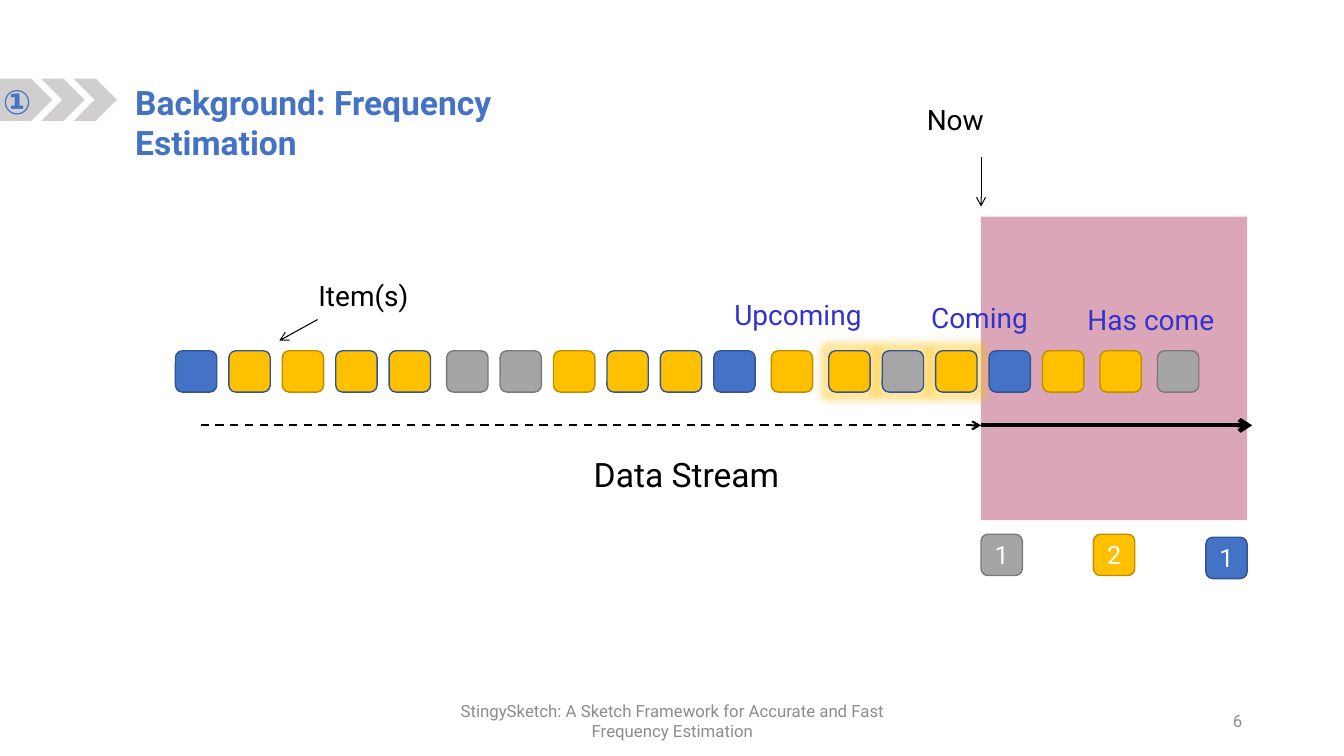
from dataclasses import dataclass

from lxml import etree
from pptx import Presentation
from pptx.dml.color import RGBColor
from pptx.enum.dml import MSO_LINE
from pptx.enum.shapes import MSO_CONNECTOR, MSO_SHAPE as SHAPE
from pptx.enum.text import MSO_ANCHOR as ANCHOR, PP_ALIGN as ALIGN
from pptx.oxml.ns import qn
from pptx.util import Inches, Pt


@dataclass(frozen=True)
class Theme:
    """Colours, font and type sizes of the slide."""
    font: str = "Roboto"
    heading_size: int = 24
    label_size: int = 20
    count_size: int = 18
    footer_size: int = 12
    black: str = "000000"
    white: str = "FFFFFF"
    blue: str = "4472C4"
    navy: str = "325491"
    gold: str = "FFC000"
    bronze: str = "BD8E00"
    gray: str = "A5A5A5"
    dark_gray: str = "7A7A7A"
    coming_gray: str = "A6A6A6"
    chevron: str = "D0CECE"
    window: str = "990033"
    label: str = "3333CC"
    footer: str = "8C8C8C"


THEME = Theme()
TILE = 0.41
TILE_PITCH = 0.53
GROUP_GAP = 0.04
TILE_STYLES = {
    "B": (THEME.blue, THEME.navy),
    "O": (THEME.gold, THEME.navy),
    "Y": (THEME.gold, THEME.bronze),
    "G": (THEME.gray, THEME.dark_gray),
    "H": (THEME.coming_gray, THEME.navy),
}
STREAM_GROUPS = ("BOYOO", "GGYOOB", "Y", "OHOBY", "Y", "G")
GLOWING = range(12, 15)


def inches(*lengths):
    """Convert several lengths to Inches."""
    return [Inches(length) for length in lengths]


def rgb(colour):
    """Turn a hex string into a colour."""
    return RGBColor.from_string(colour)


def write(shape, text, size, colour, align=ALIGN.LEFT, anchor=ANCHOR.TOP,
          bold=False, wrap=True, spacing=None):
    """Write one formatted paragraph into a shape."""
    frame = shape.text_frame
    frame.word_wrap = wrap
    frame.vertical_anchor = anchor
    frame.text = text
    paragraph = frame.paragraphs[0]
    paragraph.alignment = align
    paragraph.line_spacing = spacing
    font = paragraph.font
    font.name, font.size, font.bold = THEME.font, Pt(size), bold
    font.color.rgb = rgb(colour)


def add_text(slide, box, text, size, colour, **options):
    """Add a text box."""
    write(slide.shapes.add_textbox(*inches(*box)), text, size, colour, **options)


def add_label(slide, box, text, colour=THEME.black):
    """Add a centred diagram label."""
    add_text(slide, box, text, THEME.label_size, colour,
             align=ALIGN.CENTER, spacing=0.9)


def add_filled(shapes, kind, box, fill, outline=None):
    """Add a flat preset shape with an optional outline."""
    shape = shapes.add_shape(kind, *inches(*box))
    shape.shadow.inherit = False
    shape.fill.solid()
    shape.fill.fore_color.rgb = rgb(fill)
    if outline:
        shape.line.color.rgb = rgb(outline)
        shape.line.width = Pt(1)
    else:
        shape.line.fill.background()
    return shape


def add_tile(shapes, left, top, style):
    """Add one rounded stream item."""
    return add_filled(shapes, SHAPE.ROUNDED_RECTANGLE,
                      (left, top, TILE, TILE), *TILE_STYLES[style])


def set_alpha(colour_element, percent):
    """Give a colour element an opacity."""
    etree.SubElement(colour_element, qn("a:alpha"), val=str(percent * 1000))


def add_glow(shape):
    """Surround a shape with a soft gold glow."""
    effects = shape.element.spPr.find(qn("a:effectLst"))
    glow = etree.SubElement(effects, qn("a:glow"), rad=str(Pt(11)))
    set_alpha(etree.SubElement(glow, qn("a:srgbClr"), val=THEME.gold), 40)


def add_arrow(slide, start, end, width, dash=None):
    """Add a straight black arrow."""
    arrow = slide.shapes.add_connector(
        MSO_CONNECTOR.STRAIGHT, *inches(*start, *end))
    arrow.line.color.rgb = rgb(THEME.black)
    arrow.line.width = Pt(width)
    if dash:
        arrow.line.dash_style = dash
    etree.SubElement(arrow.line._get_or_add_ln(), qn("a:tailEnd"), type="arrow")
    etree.SubElement(arrow.element.spPr, qn("a:effectLst"))


def add_header(slide, box):
    """Place the chevrons, section number and title."""
    left, top, width, height = box
    chevrons = slide.shapes.add_group_shape().shapes
    for kind, offset, length in ((SHAPE.PENTAGON, 0, 0.52),
                                 (SHAPE.CHEVRON, 0.41, 0.43),
                                 (SHAPE.CHEVRON, 0.73, 0.43)):
        add_filled(chevrons, kind, (left + offset, top, length, height),
                   THEME.chevron)
    add_text(slide, (left - 0.07, top - 0.03, 0.54, 0.5), "①",
             THEME.heading_size, THEME.blue, bold=True, wrap=False)
    title = slide.shapes.title
    title.left, title.top, title.width, title.height = inches(
        left + 1.24, top - 0.02, width - 1.24, 0.5)
    write(title, "Background: Frequency Estimation", THEME.heading_size,
          THEME.blue, bold=True)


def add_window(slide, box):
    """Place the translucent window of items that have come."""
    left, top, width, height = box
    window = add_filled(slide.shapes, SHAPE.RECTANGLE, box, THEME.window)
    set_alpha(window.element.spPr.find(qn("a:solidFill"))[0], 35)
    add_label(slide, (left - 1.09, top - 1.14, 1.67, 0.48), "Now")
    add_arrow(slide, (left, top - 0.59), (left, top - 0.1), 0.75)
    axis = top + 2.07
    add_arrow(slide, (left - 7.74, axis), (left, axis), 1.5, MSO_LINE.DASH)
    add_arrow(slide, (left, axis), (left + width + 0.05, axis), 3)


def add_stream(slide, box):
    """Place the row of items and its labels."""
    left, top, width, height = box
    tiles = slide.shapes.add_group_shape().shapes
    index = 0
    for group, styles in enumerate(STREAM_GROUPS):
        for style in styles:
            tile = add_tile(tiles, left + index * TILE_PITCH + group * GROUP_GAP,
                            top, style)
            if index in GLOWING:
                add_glow(tile)
            index += 1
    for text, offset, rise, colour in (
            ("Item(s)", 1.03, 0.73, THEME.black),
            ("Upcoming", 5.34, 0.54, THEME.label),
            ("Coming", 7.14, 0.51, THEME.label),
            ("Has come", 8.84, 0.49, THEME.label)):
        add_label(slide, (left + offset, top - rise, 1.67, 0.48), text, colour)
    add_arrow(slide, (left + 1.41, top - 0.31), (left + 1.03, top - 0.1), 0.75)
    add_text(slide, (left + 4.05, top + 1.02, 2.58, 0.75), "Data Stream",
             THEME.heading_size, THEME.black, spacing=0.9)


def add_counts(slide, box):
    """Place the counted items under the window."""
    left, top, width, height = box
    step = (width - TILE) / 2
    for column, (style, count, drop) in enumerate(
            (("G", "1", 0), ("Y", "2", 0), ("B", "1", 0.03))):
        tile = add_tile(slide.shapes, left + column * step, top + drop, style)
        write(tile, count, THEME.count_size, THEME.white,
              align=ALIGN.CENTER, anchor=ANCHOR.MIDDLE)


def add_footer(slide, box):
    """Place the paper title and the slide number."""
    left, top, width, height = box
    for text, offset, length, align in (
            ("StingySketch: A Sketch Framework for Accurate and Fast "
             "Frequency Estimation", 0, 4.5, ALIGN.CENTER),
            ("6", width - 3, 3, ALIGN.RIGHT)):
        add_text(slide, (left + offset, top, length, height), text,
                 THEME.footer_size, THEME.footer, align=align,
                 anchor=ANCHOR.MIDDLE)


def main():
    """Build and save the slide."""
    presentation = Presentation()
    presentation.slide_width, presentation.slide_height = inches(13.33, 7.5)
    slide = presentation.slides.add_slide(presentation.slide_layouts[5])
    add_footer(slide, (4.42, 6.95, 8, 0.4))
    add_header(slide, (0, 0.78, 6.28, 0.42))
    add_window(slide, (9.73, 2.15, 2.64, 3.01))
    add_stream(slide, (1.74, 3.48, 10.15, TILE))
    add_counts(slide, (9.73, 5.3, 2.64, 0.44))
    presentation.save("out.pptx")


if __name__ == "__main__":
    main()
